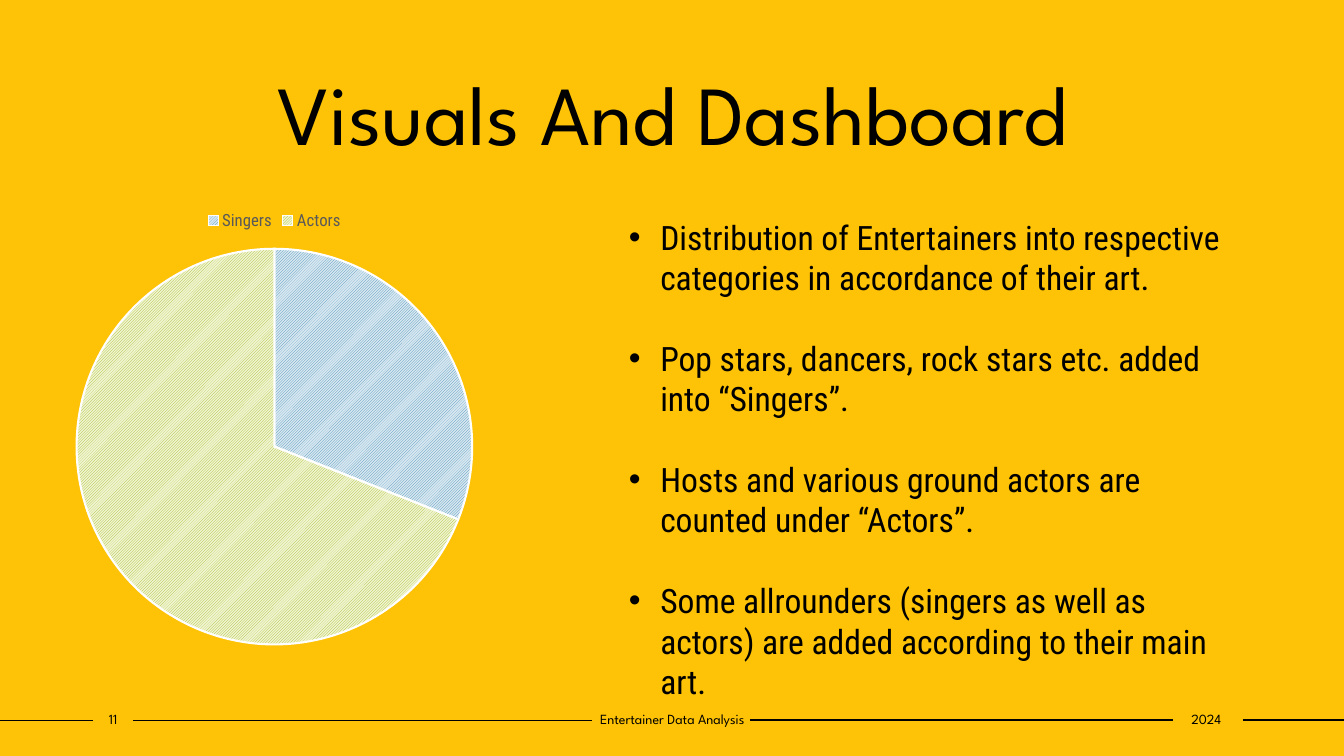
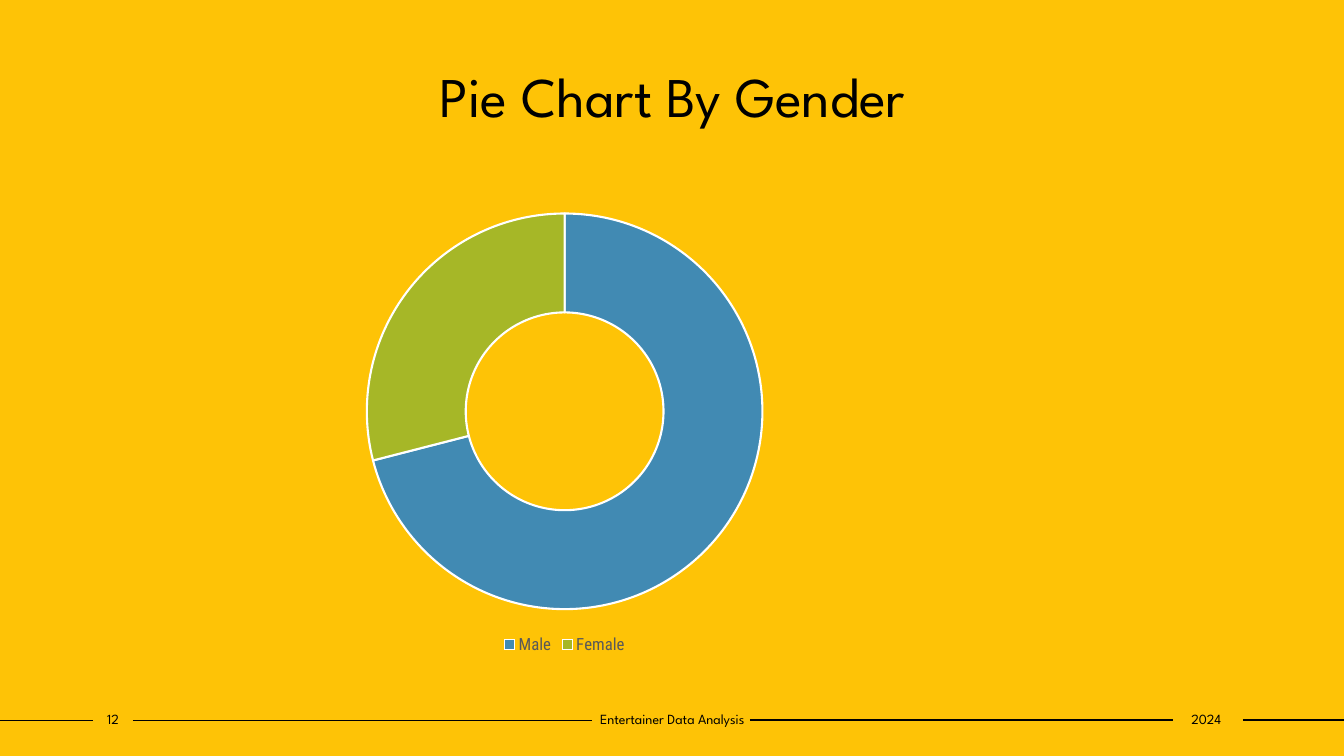
from lxml import etree
from pptx import Presentation
from pptx.chart.data import CategoryChartData
from pptx.dml.color import RGBColor
from pptx.enum.chart import XL_CHART_TYPE, XL_LEGEND_POSITION
from pptx.enum.dml import MSO_PATTERN
from pptx.enum.shapes import MSO_CONNECTOR
from pptx.enum.text import MSO_ANCHOR, MSO_AUTO_SIZE, PP_ALIGN
from pptx.oxml.ns import qn
from pptx.util import Cm, Pt

PIE, DOUGHNUT = XL_CHART_TYPE.PIE, XL_CHART_TYPE.DOUGHNUT
LEGEND_TOP, LEGEND_BOTTOM = XL_LEGEND_POSITION.TOP, XL_LEGEND_POSITION.BOTTOM
DIAGONAL = MSO_PATTERN.LIGHT_UPWARD_DIAGONAL
STRAIGHT = MSO_CONNECTOR.STRAIGHT
TOP, MIDDLE = MSO_ANCHOR.TOP, MSO_ANCHOR.MIDDLE
NO_FIT = MSO_AUTO_SIZE.NONE
CENTER = PP_ALIGN.CENTER

YELLOW, BLACK, WHITE, GREY = "FEC306", "000000", "FFFFFF", "595959"
SLICE_COLOURS = ["418AB3", "A6B727"]
SLICE_TINTS = ["D8E8F1", "F0F5D0"]
HEADING_FONT, BODY_FONT = "League Spartan", "Roboto Condensed"

TITLE_BOX = {"left": Cm(3.18), "top": Cm(1.42), "width": Cm(27.53), "height": Cm(2.82)}
TITLE_FRAME = {"vertical_anchor": TOP, "auto_size": NO_FIT, "word_wrap": True}
FOOTER_FRAME = {"vertical_anchor": MIDDLE, "word_wrap": True,
                "margin_left": 0, "margin_right": 0}
FOOTER_RULES = [(0, 2.34, 18.16), (3.35, 14.91, 18.16),
                (18.9, 29.57, 18.14), (31.32, 33.87, 18.14)]
FOOTER_SLOTS = [(2.34, 1.02), (14.91, 4.06), (29.51, 1.78)]
FOOTER_TOP, FOOTER_HEIGHT = 17.78, 0.69
CHART_LEFT, CHART_TOP, CHART_HEIGHT = 1.35, 5.03, 11.56

ART_NOTES = [
    "Distribution of Entertainers into respective categories in accordance of their art.",
    "Pop stars, dancers, rock stars etc. added into “Singers”.",
    "Hosts and various ground actors are counted under “Actors”.",
    "Some allrounders (singers as well as actors) are added according to their main art.",
]


def colour(hex_code):
    """Turn a hex string into a colour."""
    return RGBColor.from_string(hex_code)


def apply_format(target, values):
    """Set each attribute named in values on target."""
    for name, value in values.items():
        setattr(target, name, value)


def style_font(font, face, size, hex_code=BLACK):
    """Give a font its face, size and colour."""
    apply_format(font, {"name": face, "size": Pt(size)})
    font.color.rgb = colour(hex_code)


def write_centred(frame, text, size):
    """Write one centred line in the heading font."""
    paragraph = frame.paragraphs[0]
    paragraph.alignment = CENTER
    run = paragraph.add_run()
    run.text = text
    style_font(run.font, HEADING_FONT, size)


def add_rule(slide, start, end, y):
    """Draw a thin black horizontal line."""
    rule = slide.shapes.add_connector(STRAIGHT, Cm(start), Cm(y), Cm(end), Cm(y))
    rule.line.width = Pt(1)
    rule.line.color.rgb = colour(BLACK)
    etree.SubElement(rule.element.spPr, qn("a:effectLst"))


def add_footer(slide, number):
    """Add the broken rule with number, topic and year in its gaps."""
    for start, end, y in FOOTER_RULES:
        add_rule(slide, start, end, y)
    labels = [str(number), "Entertainer Data Analysis", "2024"]
    for (left, width), label in zip(FOOTER_SLOTS, labels):
        footer = slide.shapes.add_textbox(Cm(left), Cm(FOOTER_TOP), Cm(width), Cm(FOOTER_HEIGHT))
        apply_format(footer.text_frame, FOOTER_FRAME)
        write_centred(footer.text_frame, label, 10)


def add_titled_slide(prs, title, size, number):
    """Add a slide with its title and the shared footer."""
    slide = prs.slides.add_slide(prs.slide_layouts[5])
    heading = slide.shapes.title
    apply_format(heading, TITLE_BOX)
    apply_format(heading.text_frame, TITLE_FRAME)
    write_centred(heading.text_frame, title, size)
    add_footer(slide, number)
    return slide


def add_share_chart(slide, kind, shares, width, legend_position, hatched=False):
    """Add a pie or doughnut of shares and return the chart."""
    data = CategoryChartData()
    data.categories = list(shares)
    data.add_series("Series 1", list(shares.values()))
    chart = slide.shapes.add_chart(kind, Cm(CHART_LEFT), Cm(CHART_TOP),
                                   Cm(width), Cm(CHART_HEIGHT), data).chart
    apply_format(chart, {"has_title": False, "has_legend": True})
    apply_format(chart.legend, {"position": legend_position, "include_in_layout": False})
    style_font(chart.font, BODY_FONT, 10)
    style_font(chart.legend.font, BODY_FONT, 12, GREY)
    plot = chart.plots[0]
    plot.vary_by_categories = True
    for index, (strong, tint) in enumerate(zip(SLICE_COLOURS, SLICE_TINTS)):
        slice_format = plot.series[0].points[index].format
        if hatched:
            slice_format.fill.patterned()
            slice_format.fill.pattern = DIAGONAL
            slice_format.fill.back_color.rgb = colour(tint)
        else:
            slice_format.fill.solid()
        slice_format.fill.fore_color.rgb = colour(strong)
        slice_format.line.width = Pt(1.5)
        slice_format.line.color.rgb = colour(WHITE)
    return chart


def add_bullets(slide, notes):
    """Add the bulleted notes, one blank line's height apart."""
    box = slide.shapes.add_textbox(Cm(15.6), Cm(5.33), Cm(15.72), Cm(11.53))
    frame = box.text_frame
    frame.word_wrap = True
    for index, note in enumerate(notes):
        paragraph = frame.add_paragraph() if index else frame.paragraphs[0]
        paragraph.space_before = Pt(29 if index else 0)
        run = paragraph.add_run()
        run.text = note
        style_font(run.font, BODY_FONT, 24)
        properties = paragraph._p.get_or_add_pPr()
        properties.set("marL", str(Cm(0.79)))
        properties.set("indent", str(-Cm(0.79)))
        etree.SubElement(properties, qn("a:buFont"), typeface="Arial")
        etree.SubElement(properties, qn("a:buChar"), char="•")


def main():
    """Build both slides and save them."""
    prs = Presentation()
    apply_format(prs, {"slide_width": Cm(33.87), "slide_height": Cm(19.05)})
    backdrop = prs.slide_master.background.fill
    backdrop.solid()
    backdrop.fore_color.rgb = colour(YELLOW)

    dashboard = add_titled_slide(prs, "Visuals And Dashboard", 60, 11)
    add_share_chart(dashboard, PIE, {"Singers": 31, "Actors": 69}, 11.13,
                    LEGEND_TOP, hatched=True)
    add_bullets(dashboard, ART_NOTES)

    gender = add_titled_slide(prs, "Pie Chart By Gender", 40, 12)
    doughnut = add_share_chart(gender, DOUGHNUT, {"Male": 71, "Female": 29}, 25.76,
                               LEGEND_BOTTOM)
    doughnut.element.xpath(".//c:holeSize")[0].set("val", "75")

    prs.save("out.pptx")


if __name__ == "__main__":
    main()
